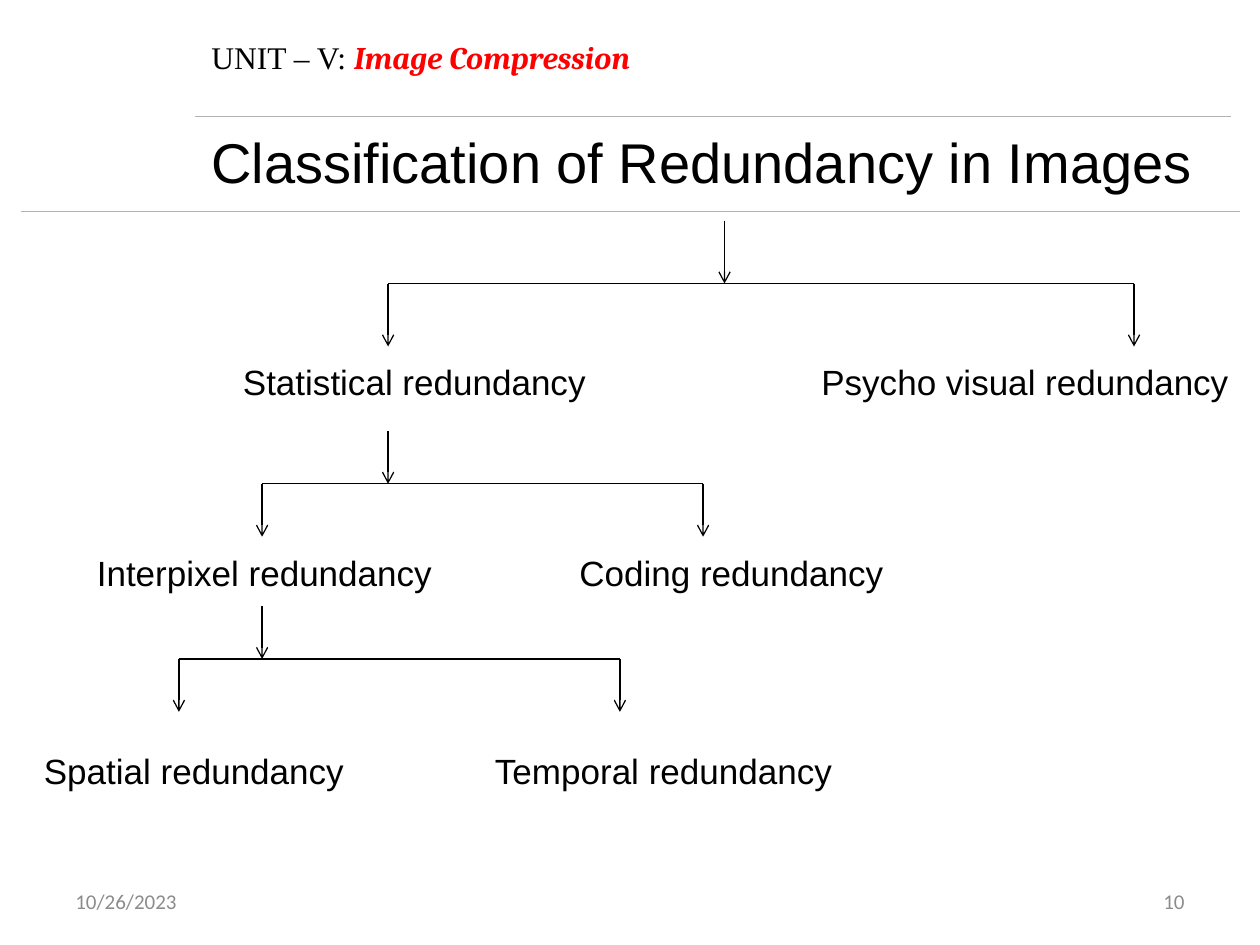
from dataclasses import dataclass

from lxml.etree import SubElement
from pptx import Presentation
from pptx.dml.color import RGBColor
from pptx.enum.shapes import MSO_CONNECTOR
from pptx.enum.text import MSO_ANCHOR, PP_ALIGN
from pptx.oxml import parse_xml
from pptx.oxml.ns import nsdecls, qn
from pptx.util import Inches, Pt


@dataclass(frozen=True)
class Theme:
    ink: str = "000000"
    accent: str = "FF0000"
    rule: str = "B2B2B2"
    footer: str = "8C8C8C"
    body_font: str = "Arial"
    unit_font: str = "Times New Roman"
    topic_font: str = "Cambria"
    footer_font: str = "Calibri"
    title_size: int = 32
    label_size: int = 20
    unit_size: int = 18
    footer_size: int = 12
    branch_width: float = 0.75
    rule_width: float = 0.25


THEME = Theme()

# Each split: stem x, stem top, arrow length, the two branch x positions
SPLITS = [
    (5.75, 1.75, 0.5, (3.08, 9)),
    (3.08, 3.42, 0.42, (2.08, 5.58)),
    (2.08, 4.81, 0.42, (1.42, 4.92)),
]

# Each level: top, then (left, width, wording) of its labels
LEVELS = [
    (2.81, [(1.83, 3.17, "Statistical redundancy"),
            (6.42, 3.49, "Psycho visual redundancy")]),
    (4.33, [(0.67, 3.25, "Interpixel redundancy"),
            (4.5, 2.83, "Coding redundancy")]),
    (5.9, [(0.25, 2.83, "Spatial redundancy"),
           (3.83, 3.08, "Temporal redundancy")]),
]


def style_run(run, font, size, color):
    run.font.name = font
    run.font.size = Pt(size)
    run.font.color.rgb = RGBColor.from_string(color)


def add_text(slide, box, wording, font, size, color,
             align=PP_ALIGN.LEFT, anchor=MSO_ANCHOR.TOP):
    """Add a one-line text box and return its paragraph."""
    frame = slide.shapes.add_textbox(*map(Inches, box)).text_frame
    frame.word_wrap = True
    frame.vertical_anchor = anchor
    paragraph = frame.paragraphs[0]
    paragraph.text = wording
    paragraph.alignment = align
    style_run(paragraph.runs[0], font, size, color)
    return paragraph


def add_line(slide, start, end, color, width, arrow=False):
    line = slide.shapes.add_connector(
        MSO_CONNECTOR.STRAIGHT, *map(Inches, (*start, *end)))
    line.line.color.rgb = RGBColor.from_string(color)
    line.line.width = Pt(width)
    if arrow:
        SubElement(line.line._get_or_add_ln(), qn("a:tailEnd"), type="arrow")
    SubElement(line._element.spPr, qn("a:effectLst"))


def add_text_shadow(run):
    shadow = parse_xml(
        f'<a:effectLst {nsdecls("a")}>'
        '<a:outerShdw blurRad="38100" dist="38100" dir="2700000" algn="tl">'
        '<a:srgbClr val="C0C0C0"/></a:outerShdw></a:effectLst>')
    run.font._element.find(qn("a:solidFill")).addnext(shadow)


def add_header(slide):
    unit = add_text(slide, (1.58, 0.25, 7.67, 0.4), "UNIT – V: ",
                    THEME.unit_font, THEME.unit_size, THEME.ink)
    topic = unit.add_run()
    topic.text = "Image Compression"
    style_run(topic, THEME.topic_font, THEME.unit_size, THEME.accent)
    topic.font.bold = topic.font.italic = True

    for left, right, y in ((1.55, 9.77, 0.92), (0.17, 9.84, 1.68)):
        add_line(slide, (right, y), (left, y), THEME.rule, THEME.rule_width)

    title = add_text(slide, (1.58, 0.96, 8.17, 0.64),
                     "Classification of Redundancy in Images",
                     THEME.body_font, THEME.title_size, THEME.ink,
                     PP_ALIGN.JUSTIFY)
    add_text_shadow(title.runs[0])


def add_split(slide, stem_x, top, length, branches):
    """Draw a stem arrow, a crossbar and one arrow down to each branch."""
    bar_y = top + length
    pen = THEME.ink, THEME.branch_width
    add_line(slide, (stem_x, top), (stem_x, bar_y), *pen, arrow=True)
    add_line(slide, (branches[0], bar_y), (branches[-1], bar_y), *pen)
    for x in branches:
        add_line(slide, (x, bar_y), (x, bar_y + length), *pen, arrow=True)


def add_footer(slide):
    for left, wording, align in ((0.5, "10/26/2023", PP_ALIGN.LEFT),
                                 (7.17, "10", PP_ALIGN.RIGHT)):
        add_text(slide, (left, 6.95, 2.33, 0.4), wording, THEME.footer_font,
                 THEME.footer_size, THEME.footer, align, MSO_ANCHOR.MIDDLE)


def main():
    deck = Presentation()
    deck.slide_width, deck.slide_height = Inches(10), Inches(7.5)
    slide = deck.slides.add_slide(deck.slide_layouts[6])

    add_header(slide)
    for split in SPLITS:
        add_split(slide, *split)
    for top, labels in LEVELS:
        for left, width, wording in labels:
            add_text(slide, (left, top, width, 0.44), wording,
                     THEME.body_font, THEME.label_size, THEME.ink)
    add_footer(slide)
    deck.save("out.pptx")


if __name__ == "__main__":
    main()
